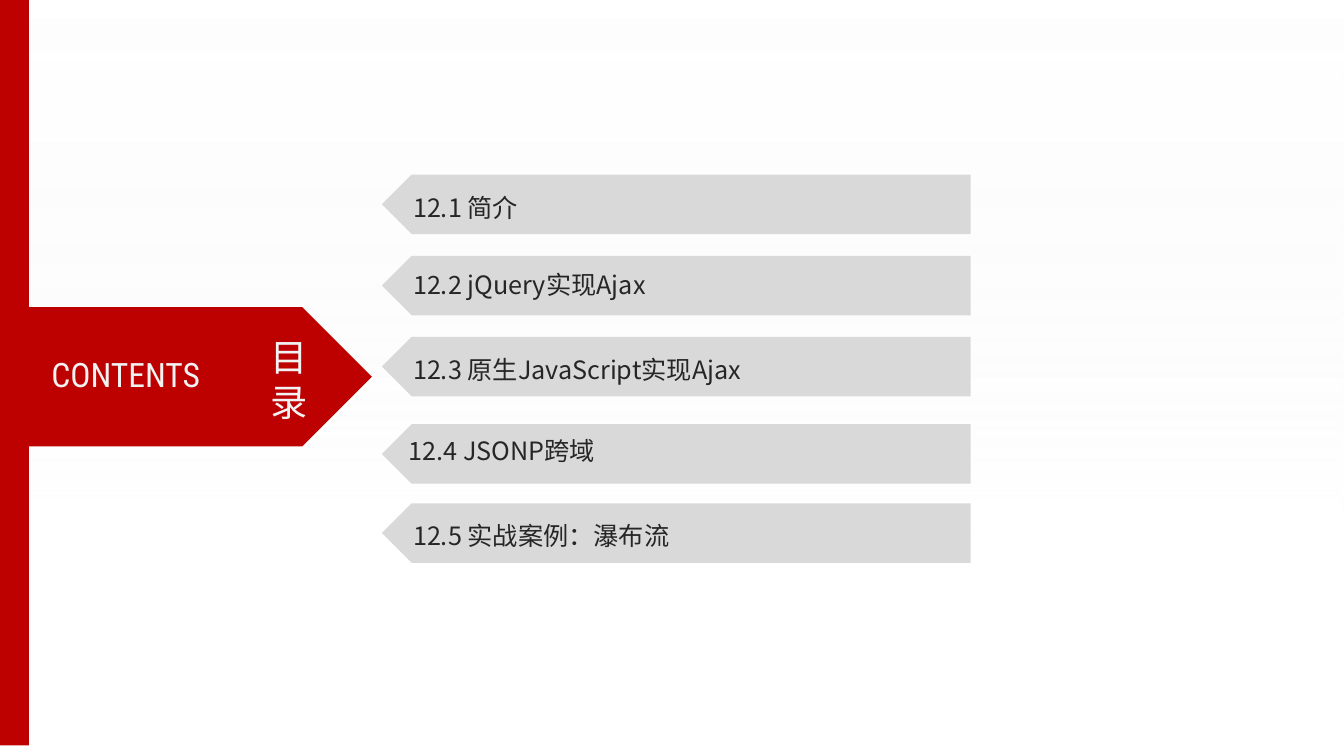
from lxml.etree import SubElement
from pptx import Presentation
from pptx.dml.color import RGBColor
from pptx.enum.shapes import MSO_SHAPE
from pptx.enum.text import MSO_AUTO_SIZE, PP_ALIGN
from pptx.oxml.ns import qn
from pptx.util import Pt

CJK = "Noto Sans CJK SC"
RED, GREY, PALE, DARK = "BD0000", "D9D9D9", "F2F2F2", "262626"
ROW_WIDTH, ROW_HEIGHT = 420.5, 42.5
ROWS = [
    ("12.1 简介", 124.7, 10, 22.3),
    ("12.2 jQuery实现Ajax", 182.7, 7.4, 22.3),
    ("12.3 原生JavaScript实现Ajax", 240.6, 10, 22.3),
    ("12.4 JSONP跨域", 303, 5.2, 19),
    ("12.5 实战案例：瀑布流", 359.5, 10, 22.3),
]


def color(value):
    return RGBColor.from_string(value)


def add_block(shapes, kind, left, top, width, height, fill):
    block = shapes.add_shape(kind, Pt(left), Pt(top), Pt(width), Pt(height))
    block.shadow.inherit = False
    block.fill.solid()
    block.fill.fore_color.rgb = color(fill)
    block.line.fill.background()
    return block


def add_label(shapes, text, left, top, width, height, size, font, ink,
              inset=(0, 0), spacing=None):
    label = shapes.add_textbox(Pt(left), Pt(top), Pt(width), Pt(height))
    frame = label.text_frame
    frame.word_wrap = True
    frame.auto_size = MSO_AUTO_SIZE.SHAPE_TO_FIT_TEXT
    frame.margin_left = frame.margin_right = Pt(inset[0])
    frame.margin_top = frame.margin_bottom = Pt(inset[1])
    frame.text = text
    paragraph = frame.paragraphs[0]
    if spacing:
        paragraph.line_spacing = Pt(spacing)
    run = paragraph.runs[0]
    run.font.size = Pt(size)
    run.font.color.rgb = color(ink)
    run.font.name = font
    SubElement(run.font._element, qn("a:ea")).set("typeface", font)
    return paragraph


def add_backdrop(slide, width, height):
    backdrop = add_block(slide.shapes, MSO_SHAPE.RECTANGLE, 0, 0, width, height, PALE)
    backdrop.fill.gradient()
    backdrop.fill.gradient_angle = 270
    looks = [(0, "FFFFFF", 55), (0.71, PALE, 0)]
    for stop, (position, tint, opacity) in zip(backdrop.fill.gradient_stops, looks):
        stop.position = position
        stop.color.rgb = color(tint)
    for tone, (_, _, opacity) in zip(backdrop._element.spPr.iter(qn("a:srgbClr")), looks):
        SubElement(tone, qn("a:alpha")).set("val", str(opacity * 1000))


def add_heading(slide, left, top, width, height):
    shapes = slide.shapes.add_group_shape().shapes
    add_block(shapes, MSO_SHAPE.PENTAGON, left, top, width, height, RED)
    add_label(shapes, "CONTENTS", left + 36.7, top + 33.1, 129.6, 28.8,
              24, "Roboto Condensed", PALE)
    title = add_label(shapes, "目录", left + 185, top + 16, 42.5, 71.2,
                      26.6, CJK, PALE, inset=(7.2, 3.6), spacing=32)
    title.alignment = PP_ALIGN.CENTER


def add_row(slide, text, left, top, text_top, text_left):
    arrow = add_block(slide.shapes, MSO_SHAPE.PENTAGON, left, top,
                      ROW_WIDTH, ROW_HEIGHT, GREY)
    arrow._element.spPr.find(qn("a:xfrm")).set("flipH", "1")
    add_label(slide.shapes, text, left + text_left, top + text_top, 305, 24,
              18, CJK, DARK, spacing=24)


def main():
    deck = Presentation()
    deck.slide_width, deck.slide_height = Pt(960), Pt(540)
    slide = deck.slides.add_slide(deck.slide_layouts[6])
    add_backdrop(slide, 960, 540)
    add_heading(slide, 0, 219.4, 265.7, 99.5)
    add_block(slide.shapes, MSO_SHAPE.RECTANGLE, 0, 0, 20.6, 532.5, RED)
    for text, top, text_top, text_left in ROWS:
        add_row(slide, text, 272.8, top, text_top, text_left)
    deck.save("out.pptx")


if __name__ == "__main__":
    main()
